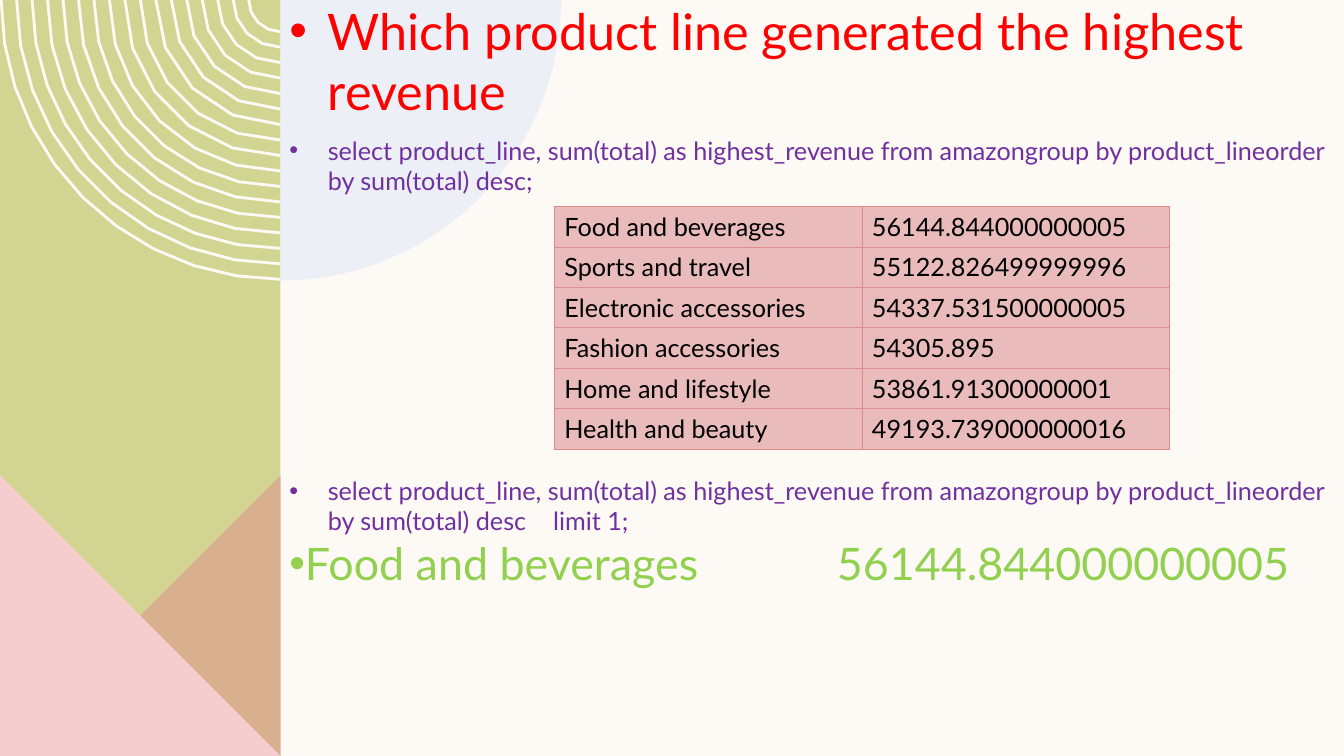
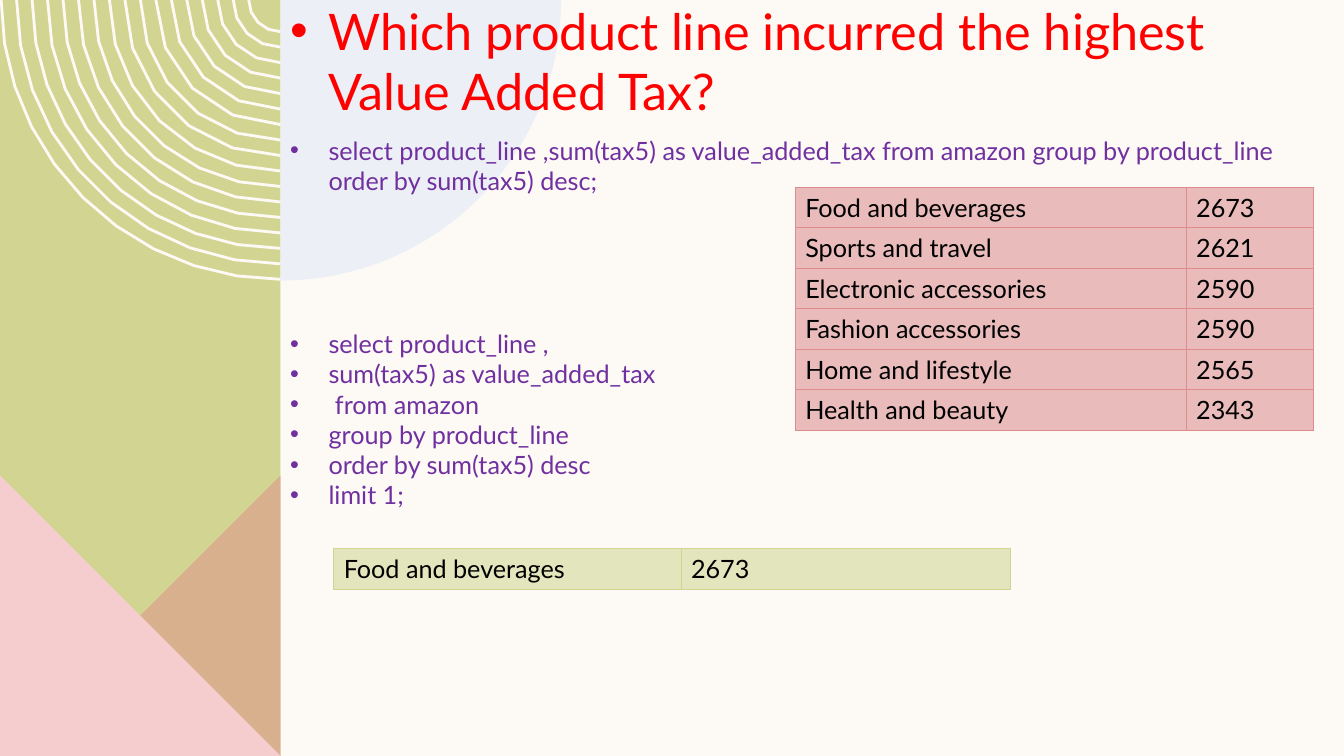
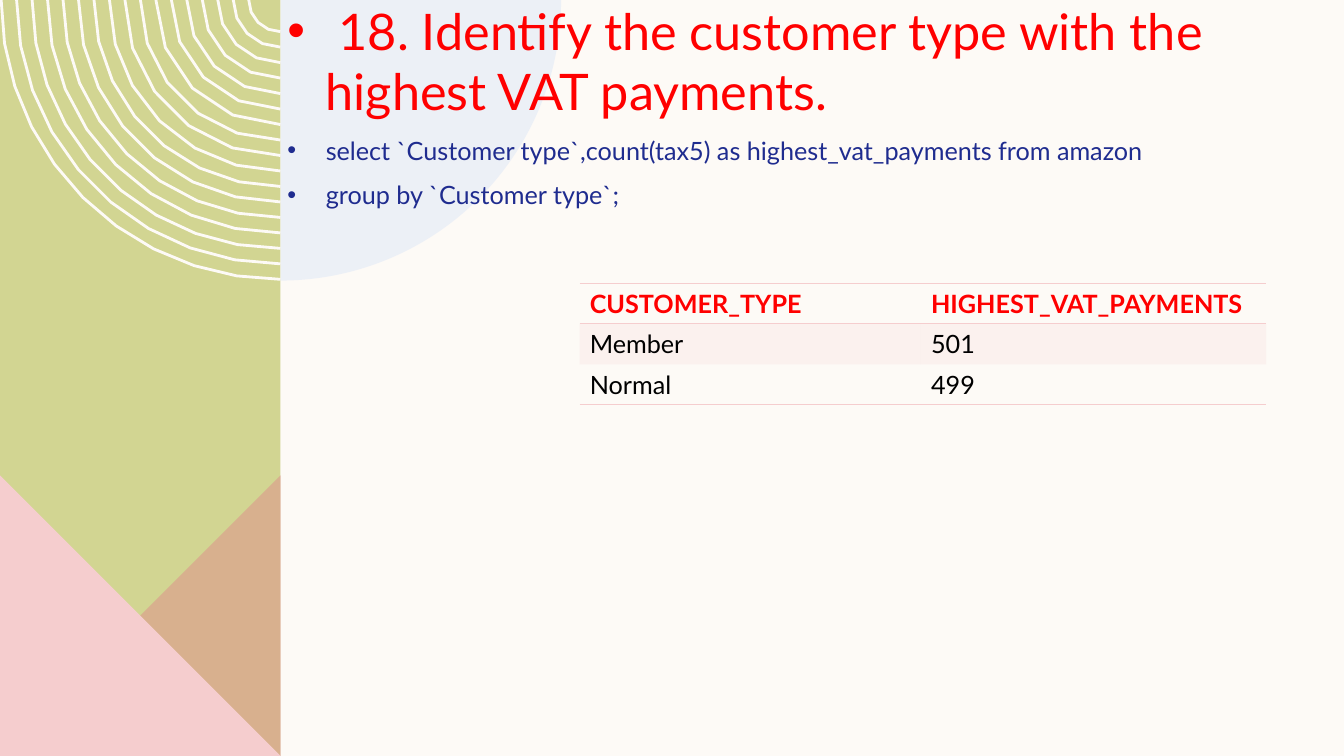
from math import cos, pi, sin

from lxml import etree
from pptx import Presentation
from pptx.dml.color import RGBColor
from pptx.enum.shapes import MSO_SHAPE
from pptx.enum.text import MSO_ANCHOR, MSO_AUTO_SIZE, PP_ALIGN
from pptx.oxml.ns import qn
from pptx.util import Cm, Pt

TRIANGLE = MSO_SHAPE.RIGHT_TRIANGLE
RECTANGLE = MSO_SHAPE.RECTANGLE
QUARTER_DISC = MSO_SHAPE.PIE_WEDGE
TOP, MIDDLE = MSO_ANCHOR.TOP, MSO_ANCHOR.MIDDLE
LEFT = PP_ALIGN.LEFT
NO_AUTOFIT = MSO_AUTO_SIZE.NONE

FONT = "Lato"
COLORS = {
    "cream": "FDFAF6", "green": "D2D592", "rose": "DE8C8C", "pink": "F5CDCE",
    "blue": "DDE7F6", "red": "FF0000", "purple": "7030A0", "navy": "1F2C8F",
    "lime": "92D050", "black": "000000", "rose tint": "E9BBBB", "green tint": "E3E5BD",
}
NO_STYLE = "{2D5ABB26-0587-4C30-8999-92F81FD0307C}"

# Lengths in centimetres
WIDTH, HEIGHT = 33.87, 19.05
BAND = 7.07
RING_COUNT, RING_RADIUS, RING_STEP, RING_POINTS = 17, 7.04, 0.39, 2
TITLE_HEIGHT, BODY_TOP = 3.05, 3.4
INSET, INDENT = 0.25, 0.97
ROW_HEIGHT = 1.02

# Content
PRODUCT_LINES = ["Food and beverages", "Sports and travel", "Electronic accessories",
                 "Fashion accessories", "Home and lifestyle", "Health and beauty"]
REVENUES = ["56144.844000000005", "55122.826499999996", "54337.531500000005",
            "54305.895", "53861.91300000001", "49193.739000000016"]
TAXES = ["2673", "2621", "2590", "2590", "2565", "2343"]

SLIDES = [
    {
        "title": "Which product line generated the highest revenue",
        "left": 7.04,
        "color": "purple",
        "lines": [
            {"text": "select product_line, sum(total) as highest_revenue from amazongroup "
                     "by product_lineorder by sum(total) desc;"},
            {"text": "select product_line, sum(total) as highest_revenue from amazongroup "
                     "by product_lineorder by sum(total) desc\tlimit 1;",
             "before": 200, "tab": 6.65},
            {"text": "Food and beverages\t56144.844000000005",
             "size": 32, "color": "lime", "indent": 0, "tab": 13.8},
        ],
        "tables": [
            {"at": (13.97, 5.2), "columns": (7.75, 7.75), "look": "rose",
             "rows": list(zip(PRODUCT_LINES, REVENUES))},
        ],
    },
    {
        "title": "Which product line incurred the highest Value Added Tax?",
        "left": 7.06,
        "color": "purple",
        "lines": [
            {"text": "select product_line ,sum(tax5) as value_added_tax from amazon "
                     "group by product_line order by sum(tax5) desc;"},
            {"text": "select product_line ,", "before": 95},
            {"text": "sum(tax5) as value_added_tax"},
            {"text": " from amazon"},
            {"text": "group by product_line"},
            {"text": "order by sum(tax5) desc"},
            {"text": "limit 1;"},
        ],
        "tables": [
            {"at": (20.04, 4.72), "columns": (9.85, 3.2), "look": "rose",
             "rows": list(zip(PRODUCT_LINES, TAXES))},
            {"at": (8.41, 13.82), "columns": (8.75, 8.3), "look": "green",
             "rows": [(PRODUCT_LINES[0], TAXES[0])]},
        ],
    },
    {
        "title": " 18. Identify the customer type with the highest VAT payments.",
        "left": 6.99,
        "color": "navy",
        "lines": [
            {"text": "select `Customer type`,count(tax5) as highest_vat_payments from amazon"},
            {"text": "group by `Customer type`;", "before": 10},
        ],
        "tables": [
            {"at": (14.61, 7.14), "columns": (8.6, 8.7), "look": "ruled",
             "rows": [("CUSTOMER_TYPE", "HIGHEST_VAT_PAYMENTS"),
                      ("Member", "501"), ("Normal", "499")]},
        ],
    },
]


def rgb(name):
    return RGBColor.from_string(COLORS[name])


def set_opacity(element, percent):
    color = next(element.iter(qn("a:srgbClr")))
    etree.SubElement(color, qn("a:alpha"), val=str(percent * 1000))


# Shared decoration
def add_block(shapes, kind, box, color, rotation=0, opacity=100):
    shape = shapes.add_shape(kind, *(Cm(length) for length in box))
    shape.rotation = rotation
    shape.shadow.inherit = False
    shape.fill.solid()
    shape.fill.fore_color.rgb = rgb(color)
    shape.line.fill.background()
    if opacity < 100:
        set_opacity(shape.element.spPr, opacity)


def quarter_ring(radius):
    """Points from the top edge to the right edge of the band."""
    steps = max(4, round(radius * 1.4))
    angles = [pi - pi / 2 * i / steps for i in range(steps + 1)]
    return [(Cm(BAND + radius * cos(a)), Cm(radius * sin(a))) for a in angles]


def add_rings(shapes):
    rings = [quarter_ring(RING_RADIUS - i * RING_STEP) for i in range(RING_COUNT)]
    builder = shapes.build_freeform(*rings[0][0])
    for ring in rings:
        if ring is not rings[0]:
            builder.move_to(*ring[0])
        builder.add_line_segments(ring[1:], close=False)
    shape = builder.convert_to_shape()
    shape.shadow.inherit = False
    shape.fill.background()
    shape.line.color.rgb = rgb("cream")
    shape.line.width = Pt(RING_POINTS)


def add_decoration(shapes):
    corner = (0, HEIGHT - BAND, BAND, BAND)
    add_block(shapes, RECTANGLE, (0, 0, BAND, HEIGHT), "green")
    add_rings(shapes)
    add_block(shapes, TRIANGLE, corner, "rose", rotation=270, opacity=50)
    add_block(shapes, TRIANGLE, corner, "pink")
    add_block(shapes, QUARTER_DISC, (BAND, 0, BAND, BAND), "blue", rotation=180, opacity=50)


def move_to_layout(slide, layout):
    for shape in list(slide.shapes):
        if not shape.is_placeholder:
            layout.shapes.element.append(shape.element)


# Text
def format_paragraph(paragraph, color, size, indent=INDENT, before=0, tab=None):
    properties = paragraph._p.get_or_add_pPr()
    properties.set("marL", str(Cm(indent)))
    properties.set("indent", str(-Cm(indent)))
    etree.SubElement(properties, qn("a:buFont"), typeface="Arial")
    etree.SubElement(properties, qn("a:buChar"), char="•")
    if tab:
        stops = etree.SubElement(properties, qn("a:tabLst"))
        etree.SubElement(stops, qn("a:tab"), pos=str(Cm(tab)), algn="l")
    paragraph.alignment = LEFT
    paragraph.space_before = Pt(before)
    for run in paragraph.runs:
        run.font.name = FONT
        run.font.size = Pt(size)
        run.font.color.rgb = rgb(color)


def place(placeholder, left, top, height):
    placeholder.left, placeholder.top = Cm(left), Cm(top)
    placeholder.width, placeholder.height = Cm(WIDTH - left), Cm(height)
    frame = placeholder.text_frame
    frame.margin_left = frame.margin_right = Cm(INSET)
    frame.margin_top = frame.margin_bottom = 0
    frame.vertical_anchor = TOP
    frame.word_wrap = True
    frame.auto_size = NO_AUTOFIT
    return frame


def add_text(slide, content):
    title = place(slide.shapes.title, content["left"], 0, TITLE_HEIGHT)
    title.text = content["title"]
    format_paragraph(title.paragraphs[0], "red", 36)

    body = place(slide.placeholders[1], content["left"], BODY_TOP, HEIGHT - BODY_TOP)
    body.text = "\n".join(line["text"] for line in content["lines"])
    for paragraph, line in zip(body.paragraphs, content["lines"]):
        format_paragraph(paragraph, line.get("color", content["color"]),
                         line.get("size", 18), line.get("indent", INDENT),
                         line.get("before", 0), line.get("tab"))


# Tables
def set_borders(cell, color, width, sides):
    properties = cell._tc.get_or_add_tcPr()
    for side in "LRTB":
        line = etree.SubElement(properties, qn("a:ln" + side), w=str(Pt(width)))
        if side in sides:
            fill = etree.SubElement(line, qn("a:solidFill"))
            etree.SubElement(fill, qn("a:srgbClr"), val=COLORS[color])
        else:
            etree.SubElement(line, qn("a:noFill"))


def style_cell(cell, look, row, last_row):
    header = look == "ruled" and row == 0
    if look == "ruled":
        sides = "TB" if header else "B" if row == last_row else "T" if row == 1 else ""
        set_borders(cell, "pink", 1, sides)
    else:
        set_borders(cell, look, 0.5, "LRTB")

    if look != "ruled":
        cell.fill.solid()
        cell.fill.fore_color.rgb = rgb(look + " tint")
    elif row == 1:
        cell.fill.solid()
        cell.fill.fore_color.rgb = rgb("pink")
        set_opacity(cell._tc.tcPr.find(qn("a:solidFill")), 20)
    else:
        cell.fill.background()

    cell.vertical_anchor = MIDDLE
    font = cell.text_frame.paragraphs[0].runs[0].font
    font.name, font.size, font.bold = FONT, Pt(18), header
    font.color.rgb = rgb("red" if header else "black")


def add_data_table(slide, at, columns, look, rows):
    frame = slide.shapes.add_table(len(rows), len(columns), Cm(at[0]), Cm(at[1]),
                                   Cm(sum(columns)), Cm(ROW_HEIGHT * len(rows)))
    table = frame.table
    table.first_row = look == "ruled"
    table.horz_banding = False
    next(frame.element.iter(qn("a:tableStyleId"))).text = NO_STYLE
    for column, width in zip(table.columns, columns):
        column.width = Cm(width)
    for row, values in enumerate(rows):
        table.rows[row].height = Cm(ROW_HEIGHT)
        for column, value in enumerate(values):
            cell = table.cell(row, column)
            cell.text = value
            style_cell(cell, look, row, len(rows) - 1)


def main():
    presentation = Presentation()
    presentation.slide_width, presentation.slide_height = Cm(WIDTH), Cm(HEIGHT)
    background = presentation.slide_master.background.fill
    background.solid()
    background.fore_color.rgb = rgb("cream")

    # Layout with only title and body, so the decoration keeps unique ids
    layout = presentation.slide_layouts[1]
    for placeholder in list(layout.placeholders):
        if placeholder.placeholder_format.idx >= 10:
            layout.shapes.element.remove(placeholder.element)

    for number, content in enumerate(SLIDES):
        slide = presentation.slides.add_slide(layout)
        if number == 0:
            add_decoration(slide.shapes)
            move_to_layout(slide, layout)
        add_text(slide, content)
        for table in content["tables"]:
            add_data_table(slide, **table)

    presentation.save("out.pptx")


if __name__ == "__main__":
    main()
